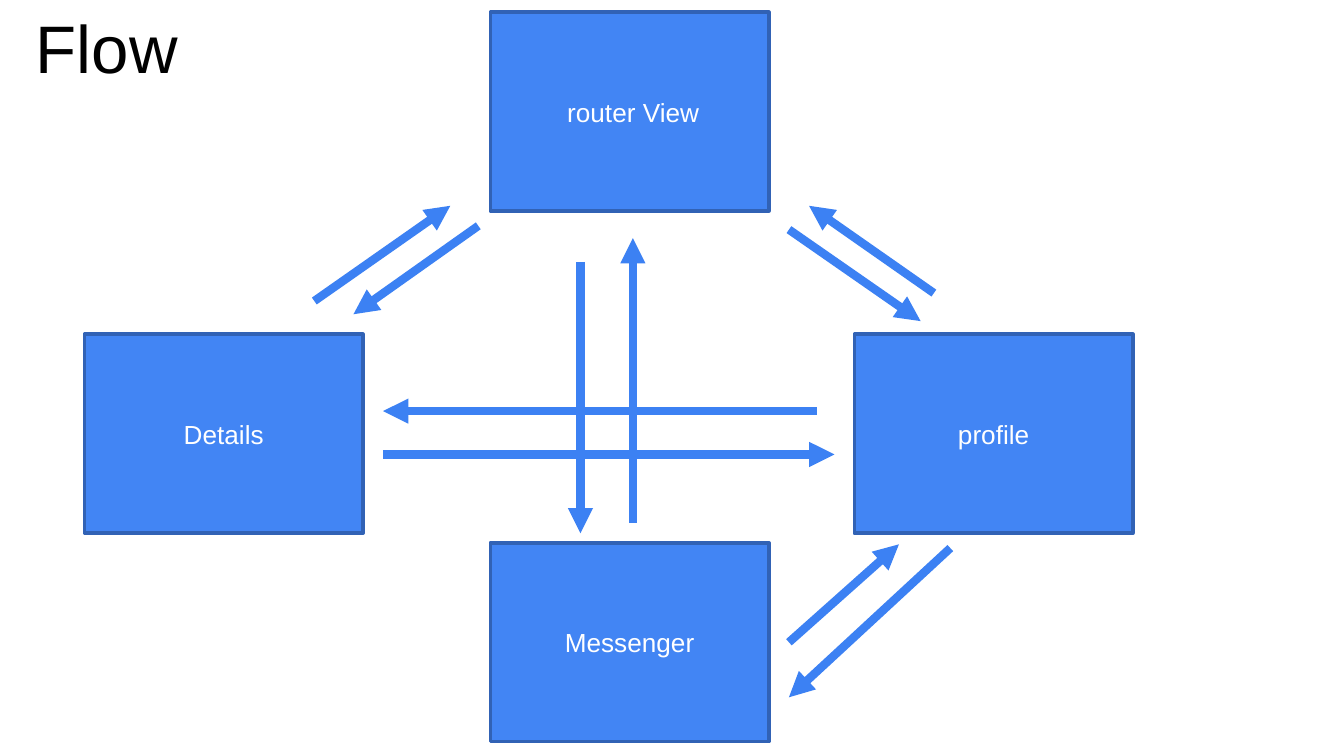
from lxml import etree
from pptx import Presentation
from pptx.dml.color import RGBColor
from pptx.enum.shapes import MSO_CONNECTOR, MSO_SHAPE
from pptx.enum.text import MSO_ANCHOR, PP_ALIGN
from pptx.oxml.ns import qn
from pptx.util import Cm, Pt

RECTANGLE = MSO_SHAPE.RECTANGLE
STRAIGHT = MSO_CONNECTOR.STRAIGHT
MIDDLE, BOTTOM = MSO_ANCHOR.MIDDLE, MSO_ANCHOR.BOTTOM
LEFT, CENTER = PP_ALIGN.LEFT, PP_ALIGN.CENTER

COLOURS = {
    "title": "000000",
    "view": "4285F4",
    "border": "3162B5",
    "label": "FFFFFF",
    "arrow": "3C81F3",
}
VIEW_WIDTH, VIEW_HEIGHT = 5.26, 3.76
CENTRE_LEFT, SIDE_TOP = 9.27, 6.32

VIEWS = [
    (" router View", CENTRE_LEFT, 0.23),
    ("profile", 16.15, SIDE_TOP),
    ("Details", 1.6, SIDE_TOP),
    ("Messenger", CENTRE_LEFT, 10.26),
]
ROUTES = [
    ((9.04, 4.27), (6.68, 5.94)),
    ((5.94, 5.69), (8.51, 3.89)),
    ((14.91, 4.34), (17.4, 6.07)),
    ((17.65, 5.54), (15.29, 3.89)),
    ((15.44, 7.77), (7.24, 7.77)),
    ((7.24, 8.59), (15.77, 8.59)),
    ((17.96, 10.36), (14.91, 13.18)),
    ((14.91, 12.14), (16.99, 10.29)),
    ((11.96, 9.88), (11.96, 4.5)),
    ((10.97, 4.95), (10.97, 10.08)),
]


class FlowSlide:
    """Draws the flow diagram's elements in one shared style."""

    def __init__(self, slide, font="Arial"):
        self.slide = slide
        self.font = font

    def colour(self, name):
        return RGBColor.from_string(COLOURS[name])

    def label(self, frame, text, size, colour, align, anchor):
        frame.text = text
        frame.word_wrap = True
        frame.vertical_anchor = anchor
        paragraph = frame.paragraphs[0]
        paragraph.alignment = align
        for run in paragraph.runs:
            run.font.name = self.font
            run.font.size = Pt(size)
            run.font.color.rgb = self.colour(colour)

    def title(self, text, left, top, width, height):
        heading = self.slide.shapes.add_textbox(Cm(left), Cm(top), Cm(width), Cm(height))
        frame = heading.text_frame
        frame.margin_left = frame.margin_right = Cm(0.25)
        frame.margin_top = frame.margin_bottom = Cm(0.25)
        self.label(frame, text, 36, "title", LEFT, BOTTOM)

    def view(self, text, left, top):
        view = self.slide.shapes.add_shape(
            RECTANGLE, Cm(left), Cm(top), Cm(VIEW_WIDTH), Cm(VIEW_HEIGHT))
        view.shadow.inherit = False
        view.fill.solid()
        view.fill.fore_color.rgb = self.colour("view")
        view.line.color.rgb = self.colour("border")
        view.line.width = Pt(2)
        self.label(view.text_frame, text, 14, "label", CENTER, MIDDLE)

    def arrow(self, start, end):
        route = self.slide.shapes.add_connector(
            STRAIGHT, *(Cm(value) for value in (*start, *end)))
        route.line.color.rgb = self.colour("arrow")
        route.line.width = Pt(4.5)
        properties = route._element.spPr
        etree.SubElement(properties.find(qn("a:ln")), qn("a:tailEnd"), type="triangle")
        etree.SubElement(properties, qn("a:effectLst"))


def main():
    presentation = Presentation()
    presentation.slide_width = Cm(25.4)
    presentation.slide_height = Cm(14.29)
    flow = FlowSlide(presentation.slides.add_slide(presentation.slide_layouts[6]))
    flow.title("Flow", 0.43, 1.09, 23.67, 0.81)
    for view in VIEWS:
        flow.view(*view)
    for route in ROUTES:
        flow.arrow(*route)
    presentation.save("out.pptx")


if __name__ == "__main__":
    main()
